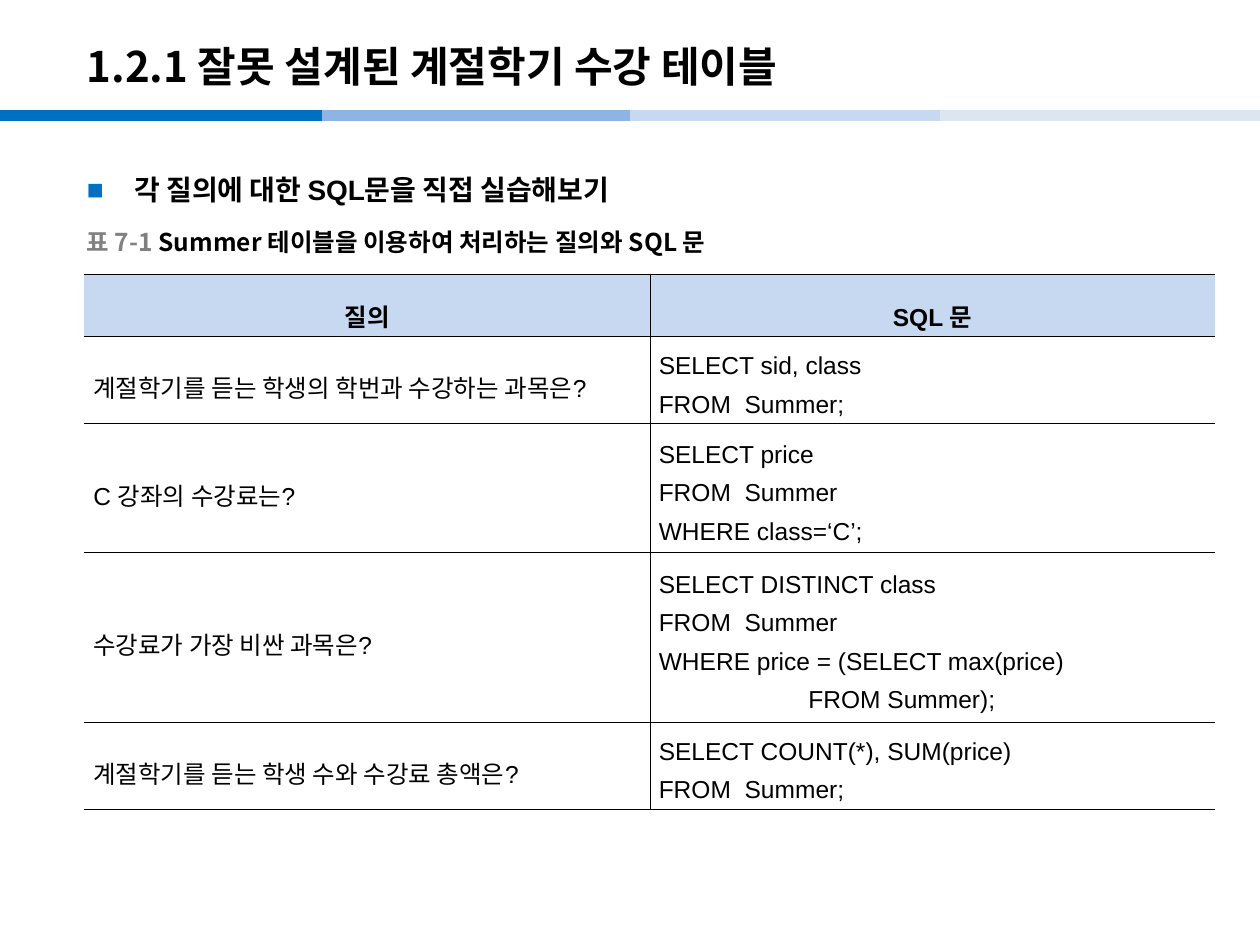
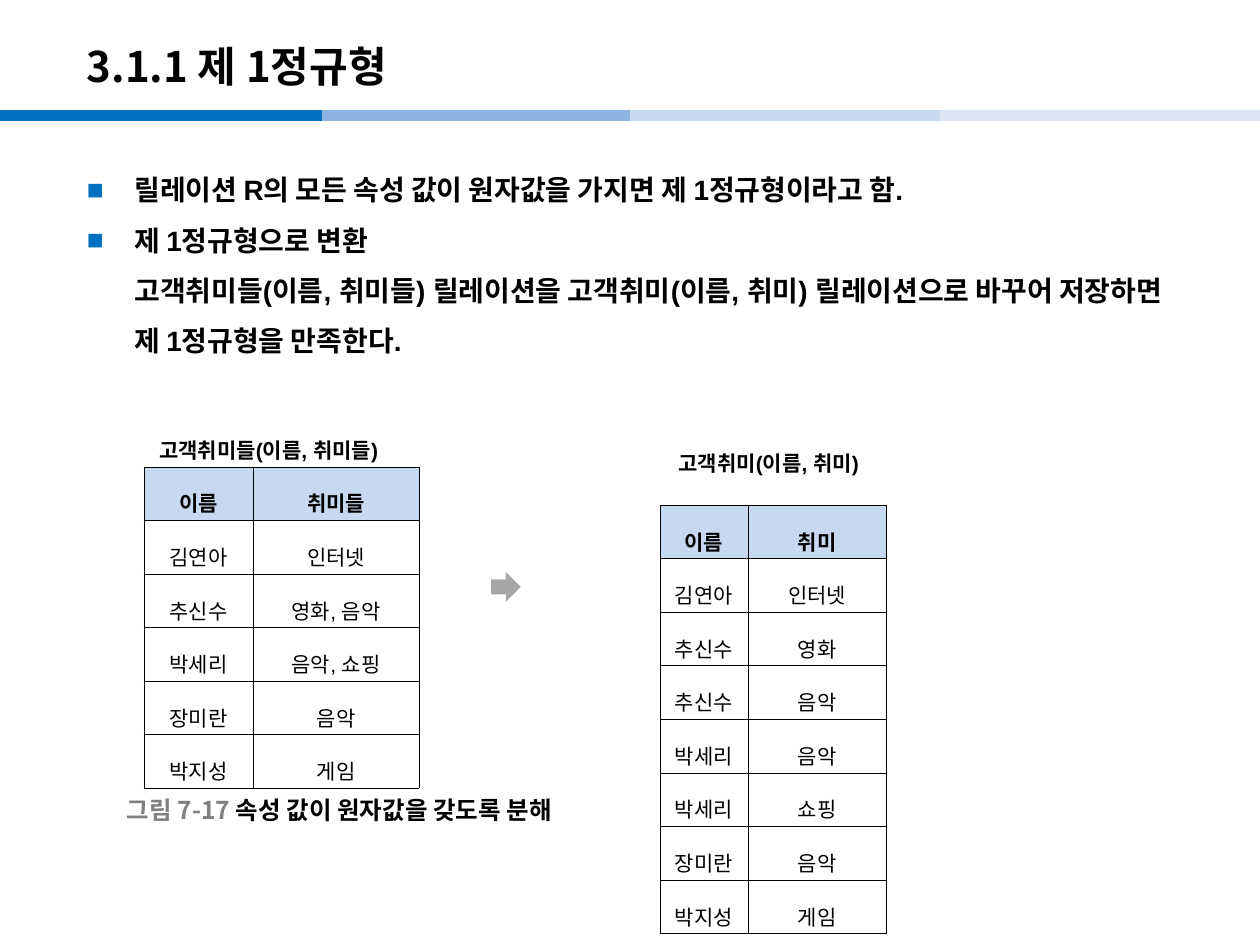
from lxml import etree
from pptx import Presentation
from pptx import util as u
from pptx.dml.color import RGBColor
from pptx.enum import shapes, text
from pptx.oxml import ns

BLACK, GRAY, ARROW_GRAY = "000000", "808080", "A6A6A6"
BLUE, HEADER_BLUE = "0070C0", "C6D9F1"
BANDS = [(0, BLUE), (6.5, "8EB4E3"), (12.7, HEADER_BLUE), (18.95, "DCE6F2")]
BAND_LENGTH, BAND_Y = 6.5, 2.33
BODY_FONT, KOREAN_FONT = "Arial", "Noto Sans CJK KR"
LEFT, CENTER, JUSTIFY = text.PP_ALIGN.LEFT, text.PP_ALIGN.CENTER, text.PP_ALIGN.JUSTIFY


def color(hex_string):
    return RGBColor.from_string(hex_string)


def add_xml(parent, tag, **attributes):
    return etree.SubElement(parent, ns.qn(tag), attributes)


def has_hangul(words):
    return any("가" <= letter <= "힣" for letter in words)


class Deck:
    """Holds the shared style and the slide being filled."""

    def __init__(self):
        self.presentation = Presentation()
        self.presentation.slide_width = u.Cm(25.4)
        self.presentation.slide_height = u.Cm(19.05)
        self.slide = None

    def add_slide(self, title):
        self.slide = self.presentation.slides.add_slide(self.presentation.slide_layouts[6])
        for x, band_color in BANDS:
            self.band(x, band_color)
        frame = self.text_box(1.5, 0.56, 21, 1.52, anchor=text.MSO_ANCHOR.MIDDLE)
        frame.text = title
        self.format_runs(frame.paragraphs[0], 24, True, KOREAN_FONT)

    def band(self, x, band_color):
        line = self.slide.shapes.add_connector(
            shapes.MSO_CONNECTOR.STRAIGHT,
            u.Cm(x), u.Cm(BAND_Y), u.Cm(x + BAND_LENGTH), u.Cm(BAND_Y))
        line.line.color.rgb = color(band_color)
        line.line.width = u.Pt(6)
        add_xml(line._element.spPr, "a:effectLst")

    def text_box(self, x, y, width, height, anchor=text.MSO_ANCHOR.TOP):
        box = self.slide.shapes.add_textbox(u.Cm(x), u.Cm(y), u.Cm(width), u.Cm(height))
        frame = box.text_frame
        frame.word_wrap = True
        frame.vertical_anchor = anchor
        return frame

    def format_runs(self, paragraph, size, bold, font=BODY_FONT):
        """Formats all runs in black, without pair kerning."""
        for run in paragraph.runs:
            run.font.size = u.Pt(size)
            run.font.bold = bold
            run.font.name = font
            run.font.color.rgb = color(BLACK)
            properties = run._r.get_or_add_rPr()
            properties.set("kern", "0")
            add_xml(properties, "a:ea", typeface=KOREAN_FONT if has_hangul(run.text) else font)

    def body(self, height, items):
        """Items are (text, has a bullet) pairs."""
        frame = self.text_box(1.5, 3.02, 22.4, height)
        frame.text = "\n".join(item for item, _ in items)
        for paragraph, (_, bulleted) in zip(frame.paragraphs, items):
            paragraph.line_spacing = 1.5
            properties = paragraph._p.get_or_add_pPr()
            indent = u.Cm(0.96)
            properties.set("marL", str(indent))
            properties.set("indent", str(-indent if bulleted else 0))
            if bulleted:
                add_xml(add_xml(properties, "a:buClr"), "a:srgbClr", val=BLUE)
                add_xml(properties, "a:buFont", typeface=BODY_FONT)
                add_xml(properties, "a:buChar", char="■")
            self.format_runs(paragraph, 16, True)

    def caption(self, x, y, width, number, title):
        frame = self.text_box(x, y, width, 0.79, text.MSO_ANCHOR.MIDDLE)
        paragraph = frame.paragraphs[0]
        for words in (number + " ", title):
            paragraph.add_run().text = words
        self.format_runs(paragraph, 14, True, KOREAN_FONT)
        paragraph.runs[0].font.color.rgb = color(GRAY)

    def table(self, x, y, columns, heights):
        frame = self.slide.shapes.add_table(
            len(heights), len(columns), u.Cm(x), u.Cm(y),
            u.Cm(sum(columns)), u.Cm(sum(heights)))
        table = frame.table
        table.first_row = table.horz_banding = False
        for column, width in zip(table.columns, columns):
            column.width = u.Cm(width)
        for row, height in zip(table.rows, heights):
            row.height = u.Cm(height)
        return table

    def cell(self, cell, words, size, sides="LRTB", bold=False, fill=None,
             align=CENTER, spacing=1.6, indent=0):
        """Fills a cell; sides names the edges that have a line."""
        cell.margin_left = cell.margin_right = u.Cm(0.18)
        cell.margin_top = cell.margin_bottom = u.Cm(0.05)
        cell.vertical_anchor = text.MSO_ANCHOR.MIDDLE
        for side in "LRTB":
            edge = add_xml(cell._tc.get_or_add_tcPr(), "a:ln" + side, w=str(u.Pt(0.28)))
            if side in sides:
                add_xml(add_xml(edge, "a:solidFill"), "a:srgbClr", val=BLACK)
            else:
                add_xml(edge, "a:noFill")
        if fill:
            cell.fill.solid()
            cell.fill.fore_color.rgb = color(fill)
        else:
            cell.fill.background()
        cell.text = words
        for paragraph in cell.text_frame.paragraphs:
            paragraph.alignment = align
            paragraph.line_spacing = spacing
            if indent:
                paragraph._p.get_or_add_pPr().set("marL", str(u.Cm(indent)))
            self.format_runs(paragraph, size, bold)

    def query_table(self, x, y, heights, header, queries):
        table = self.table(x, y, [11.4, 11.4], heights)
        for row, values in enumerate([header, *queries]):
            for column, (words, sides) in enumerate(zip(values, ("RTB", "LTB"))):
                cell = table.cell(row, column)
                if row == 0:
                    self.cell(cell, words, 14, sides, True, HEADER_BLUE)
                else:
                    self.cell(cell, words, 14, sides, align=LEFT, spacing=1.4)

    def relation(self, x, y, columns, name, name_height, indent, header, records):
        """Draws a relation with its name in a merged row above the header."""
        table = self.table(x, y, columns, [name_height] + [1.08] * (len(records) + 1))
        table.cell(0, 0).merge(table.cell(0, 1))
        for column, words in enumerate((name, "")):
            self.cell(table.cell(0, column), words, 12, "B", True,
                      align=JUSTIFY, indent=indent)
        for row, values in enumerate([header, *records], 1):
            is_header = row == 1
            for column, words in enumerate(values):
                self.cell(table.cell(row, column), words, 12, bold=is_header,
                          fill=HEADER_BLUE if is_header else None)

    def right_arrow(self, x, y, size):
        shape = self.slide.shapes.add_shape(
            shapes.MSO_SHAPE.DOWN_ARROW, u.Cm(x), u.Cm(y), u.Cm(size), u.Cm(size))
        shape.rotation = 270
        shape.shadow.inherit = False
        shape.fill.solid()
        shape.fill.fore_color.rgb = color(ARROW_GRAY)
        shape.line.fill.background()


def add_query_slide(deck):
    deck.add_slide("1.2.1 잘못 설계된 계절학기 수강 테이블")
    deck.body(15.2, [("각 질의에 대한 SQL문을 직접 실습해보기", True)])
    deck.query_table(1.7, 5.53, [1.25, 1.67, 2.5, 3.34, 1.67], ("질의", "SQL 문"), [
        ("계절학기를 듣는 학생의 학번과 수강하는 과목은?",
         "SELECT sid, class\nFROM  Summer;"),
        ("C 강좌의 수강료는?",
         "SELECT price\nFROM  Summer\nWHERE class=‘C’;"),
        ("수강료가 가장 비싼 과목은?",
         "SELECT DISTINCT class\nFROM  Summer\nWHERE price = (SELECT max(price)\n"
         "                      FROM Summer);"),
        ("계절학기를 듣는 학생 수와 수강료 총액은?",
         "SELECT COUNT(*), SUM(price)\nFROM  Summer;"),
    ])
    deck.caption(1.5, 4.47, 14, "표 7-1", "Summer 테이블을 이용하여 처리하는 질의와 SQL 문")


def add_normal_form_slide(deck):
    deck.add_slide("3.1.1 제 1정규형")
    deck.body(13.3, [
        ("릴레이션 R의 모든 속성 값이 원자값을 가지면 제 1정규형이라고 함.", True),
        ("제 1정규형으로 변환", True),
        ("고객취미들(이름, 취미들) 릴레이션을 고객취미(이름, 취미) 릴레이션으로 바꾸어 "
         "저장하면 제 1정규형을 만족한다.", False),
    ])
    customers = [("김연아", "인터넷"), ("추신수", "영화, 음악"), ("박세리", "음악, 쇼핑"),
                 ("장미란", "음악"), ("박지성", "게임")]
    atomic = [(name, hobby) for name, hobbies in customers for hobby in hobbies.split(", ")]
    deck.relation(2.9, 8.33, [2.2, 3.35], "고객취미들(이름, 취미들)", 1.08, 0.13,
                  ("이름", "취미들"), customers)
    deck.relation(13.3, 8.1, [1.78, 2.79], "고객취미(이름, 취미)", 2.08, 0.2,
                  ("이름", "취미"), atomic)
    deck.right_arrow(9.9, 11.53, 0.6)
    deck.caption(2.31, 15.93, 10, "그림 7-17", "속성 값이 원자값을 갖도록 분해")


def main():
    deck = Deck()
    add_query_slide(deck)
    add_normal_form_slide(deck)
    deck.presentation.save("out.pptx")


if __name__ == "__main__":
    main()
